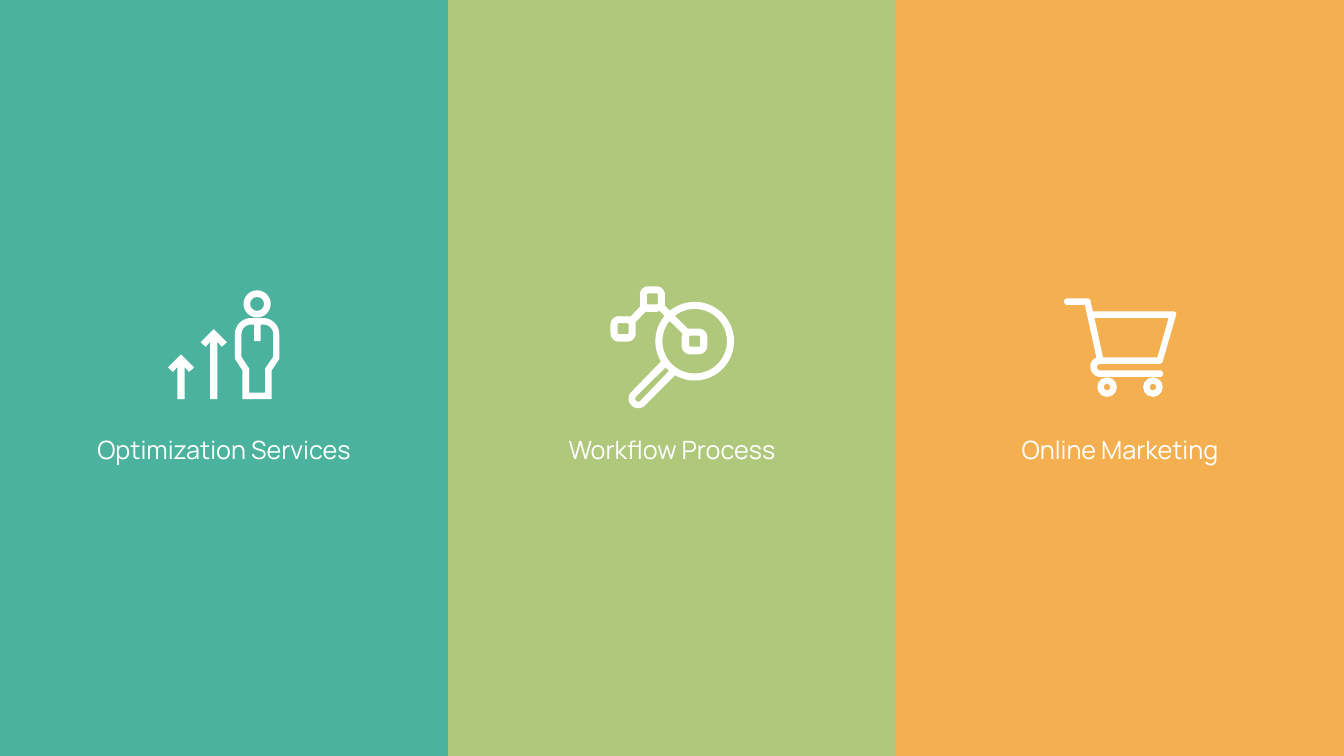
from math import cos, dist, radians, sin

from lxml.etree import SubElement
from pptx import Presentation
from pptx.dml.color import RGBColor
from pptx.enum.shapes import MSO_SHAPE
from pptx.enum.text import MSO_AUTO_SIZE, PP_ALIGN
from pptx.oxml.ns import qn
from pptx.util import Inches, Pt

SLIDE_WIDTH, SLIDE_HEIGHT = 26.66, 15
PANEL_WIDTH = SLIDE_WIDTH / 3
WHITE = "FFFFFF"
PANELS = [
    ("Optimization Services", "1EA185", 5.72),
    ("Workflow Process", "9BBB5C", 4.65),
    ("Online Marketing", "F29B26", 4.53),
]


def paint(shape, color, opacity=100):
    shape.shadow.inherit = False
    shape.line.fill.background()
    shape.fill.solid()
    shape.fill.fore_color.rgb = RGBColor.from_string(color)
    if opacity < 100:
        srgb = shape.fill._xPr.find(".//" + qn("a:srgbClr"))
        SubElement(srgb, qn("a:alpha"), val=str(opacity * 1000))


def add_panel(slide, left, color):
    panel = slide.shapes.add_shape(
        MSO_SHAPE.RECTANGLE, Inches(left), 0, Inches(PANEL_WIDTH), Inches(SLIDE_HEIGHT))
    paint(panel, color, opacity=80)


def add_label(slide, text, center, top, width, *, height=0.71, size=36,
              font="Manrope", color=WHITE):
    label = slide.shapes.add_textbox(
        Inches(center - width / 2), Inches(top), Inches(width), Inches(height))
    frame = label.text_frame
    frame.word_wrap = False
    frame.auto_size = MSO_AUTO_SIZE.SHAPE_TO_FIT_TEXT
    frame.margin_top = frame.margin_bottom = 0
    paragraph = frame.paragraphs[0]
    paragraph.alignment = PP_ALIGN.CENTER
    run = paragraph.add_run()
    run.text = text
    run.font.size = Pt(size)
    run.font.name = font
    run.font.color.rgb = RGBColor.from_string(color)


def add_ring(slide, center_x, center_y, diameter, thickness=0.13):
    ring = slide.shapes.add_shape(
        MSO_SHAPE.DONUT, Inches(center_x - diameter / 2), Inches(center_y - diameter / 2),
        Inches(diameter), Inches(diameter))
    ring.adjustments[0] = thickness / diameter
    paint(ring, WHITE)


def arc(center, radius, start, end, step=4):
    """Points along a clockwise arc, angles in degrees from the right."""
    count = max(2, round((end - start) / step))
    angles = [radians(start + (end - start) * i / count) for i in range(count + 1)]
    return [(center[0] + radius * cos(a), center[1] + radius * sin(a)) for a in angles]


def toward(origin, target, share):
    return tuple(o + (t - o) * share for o, t in zip(origin, target))


def round_corners(corners, steps=10):
    """Round every corner given as (x, y, radius); keep plain (x, y) sharp."""
    points = []
    for i, corner in enumerate(corners):
        if len(corner) == 2:
            points.append(corner)
            continue
        x, y, radius = corner
        tip, before = (x, y), corners[i - 1][:2]
        after = corners[(i + 1) % len(corners)][:2]
        start = toward(tip, before, radius / dist(tip, before))
        end = toward(tip, after, radius / dist(tip, after))
        pull_in, pull_out = toward(start, tip, 0.55), toward(end, tip, 0.55)
        for n in range(steps + 1):
            t = n / steps
            weights = ((1 - t) ** 3, 3 * t * (1 - t) ** 2, 3 * t * t * (1 - t), t ** 3)
            controls = (start, pull_in, pull_out, end)
            points.append(tuple(
                sum(w * c[axis] for w, c in zip(weights, controls)) for axis in (0, 1)))
    return points


def box(left, top, size, radius):
    right, bottom = left + size, top + size
    return [(left, top, radius), (right, top, radius),
            (right, bottom, radius), (left, bottom, radius)]


def add_outline(slide, *contours):
    """One filled freeform; contours after the first are holes."""
    builder = None
    for contour in contours:
        points = [(Inches(x), Inches(y)) for x, y in round_corners(contour)]
        if builder is None:
            builder = slide.shapes.build_freeform(*points[0])
        else:
            builder.move_to(*points[0])
        builder.add_line_segments(points[1:], close=True)
    paint(builder.convert_to_shape(), WHITE)


def add_up_arrow(slide, center, top, bottom=7.92):
    right_side = [(0.26, top + 0.26), (0.16, top + 0.35), (0.07, top + 0.25), (0.07, bottom)]
    left_side = [(-x, y) for x, y in reversed(right_side)]
    add_outline(slide, [(center + x, y) for x, y in [(0, top)] + right_side + left_side])


def add_growth_icon(slide):
    body = [(4.66, 6.31, 0.32), (5.54, 6.31, 0.32), (5.54, 7.12), (5.39, 7.35),
            (5.39, 7.92), (4.81, 7.92), (4.81, 7.35), (4.66, 7.12)]
    suit = [(4.79, 6.44, 0.19), (5.04, 6.44), (5.04, 6.77), (5.17, 6.77), (5.17, 6.44),
            (5.42, 6.44, 0.19), (5.42, 7.08), (5.26, 7.31), (5.26, 7.79),
            (4.94, 7.79), (4.94, 7.31), (4.79, 7.08)]
    add_outline(slide, body, suit)
    add_ring(slide, 5.1, 6.03, 0.54)
    add_up_arrow(slide, 4.24, 6.53)
    add_up_arrow(slide, 3.59, 7.03)


def add_magnifier_icon(slide):
    lens, grip = (13.78, 6.77), (12.66, 7.91)
    silhouette = [
        # Lens and handle
        *arc(lens, 0.78, 231, 480), *arc(grip, 0.19, 45, 225), *arc(lens, 0.78, 149, 220),
        # Underside of the top node, then the left node
        (13.09, 6.17), (13.02, 6.19), (12.86, 6.19), (12.81, 6.18), (12.61, 6.39),
        (12.61, 6.78, 0.17), (12.11, 6.78, 0.17), (12.11, 6.27, 0.17), (12.51, 6.28),
        # Upper side of the top node
        (12.7, 6.08), (12.69, 5.68, 0.17), (13.19, 5.68, 0.17), (13.19, 6.07)]
    glass = [*arc(lens, 0.64, 232, 579), (13.54, 6.62), (13.52, 6.69),
             (13.52, 7.03, 0.17), (14.03, 7.03, 0.17), (14.03, 6.52, 0.17), (13.64, 6.52)]
    handle = [*arc(grip, 0.06, 45, 225), (13.2, 7.29), (13.27, 7.36)]
    nodes = [box(x, y, 0.22, 0.03) for x, y in [(13.67, 6.66), (12.83, 5.82), (12.25, 6.41)]]
    add_outline(slide, silhouette, glass, handle, *nodes)


def add_cart_icon(slide):
    frame = [(21.11, 5.92, 0.06), (21.62, 5.92, 0.05), (21.68, 6.18), (23.35, 6.18, 0.07),
             (23.05, 7.22, 0.05), (21.76, 7.22, 0.06), (21.76, 7.35, 0.06),
             (23.07, 7.35, 0.06), (23.07, 7.48, 0.06), (21.63, 7.48, 0.2),
             (21.63, 7.14, 0.11), (21.75, 7.1), (21.52, 6.05), (21.11, 6.05, 0.06)]
    basket = [(23.18, 6.31), (22.96, 7.09), (21.88, 7.09), (21.71, 6.31)]
    add_outline(slide, frame, basket)
    for wheel_x in (21.96, 22.87):
        add_ring(slide, wheel_x, 7.68, 0.39)


def main():
    prs = Presentation()
    prs.slide_width, prs.slide_height = Inches(SLIDE_WIDTH), Inches(SLIDE_HEIGHT)
    slide = prs.slides.add_slide(prs.slide_layouts[6])

    # Coloured panels
    for column, (_, color, _) in enumerate(PANELS):
        add_panel(slide, column * PANEL_WIDTH, color)

    # Icons
    add_magnifier_icon(slide)
    add_growth_icon(slide)
    add_cart_icon(slide)

    # Service names
    for column, (service, _, width) in enumerate(PANELS):
        add_label(slide, service, (column + 0.5) * PANEL_WIDTH, 8.62, width)

    prs.save("out.pptx")


if __name__ == "__main__":
    main()
